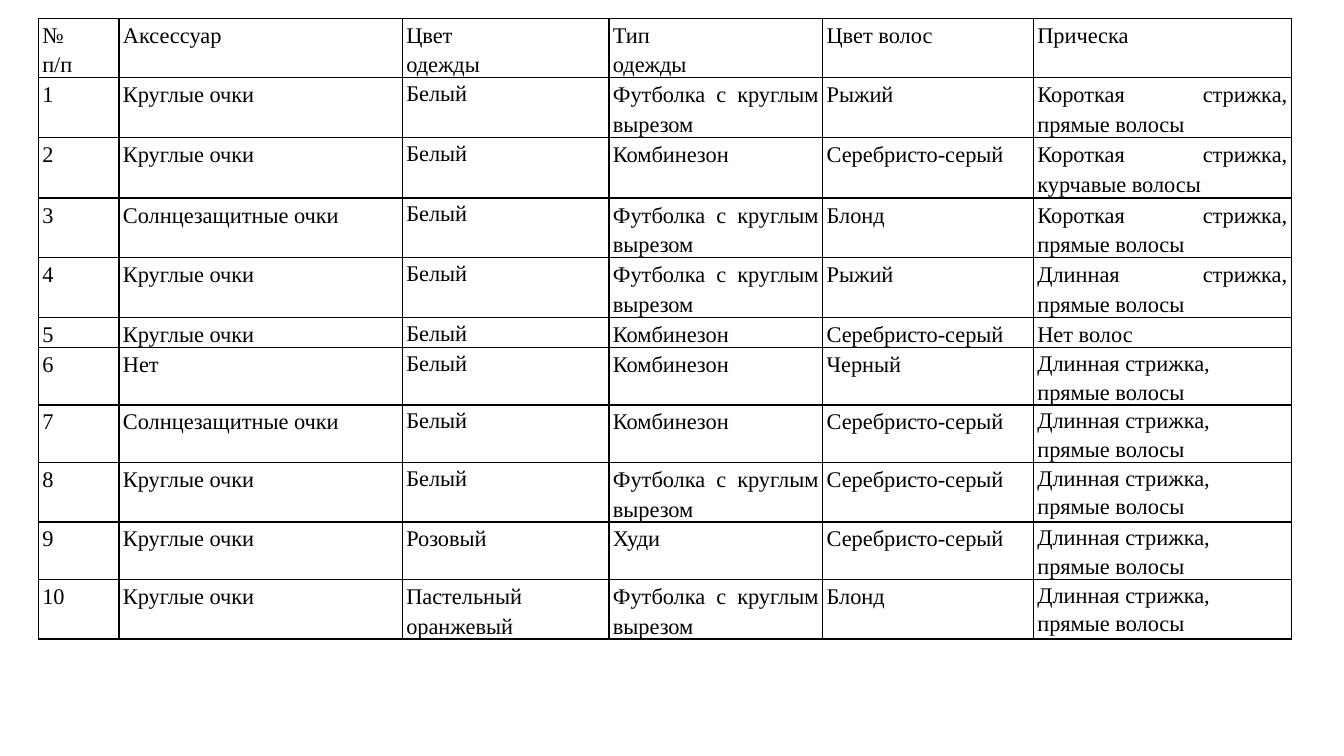
import copy

import pptx
import pptx.dml.color
import pptx.enum.text
import pptx.oxml
import pptx.oxml.ns
import pptx.util
from pptx.util import Inches

COLORS = {"ink": "000000"}
FONT = "Times New Roman"
COL_WIDTHS = [0.8, 2.81, 2.05, 2.12, 2.09, 2.56]
ROW_HEIGHTS = [0.3, 0.45, 0.6, 0.45, 0.45, 0.3, 0.43, 0.43, 0.45, 0.43, 0.45]

ROUND, SUN = "Круглые очки", "Солнцезащитные очки"
WHITE = "Белый"
TEE, OVERALLS = "Футболка с круглым вырезом", "Комбинезон"
SILVER = "Серебристо-серый"
SHORT = "Короткая стрижка, прямые волосы"
LONG = "Длинная стрижка, прямые волосы"
HEADER = ["№\nп/п", "Аксессуар", "Цвет \vодежды", "Тип \vодежды",
          "Цвет волос", "Прическа"]
LOOKS = [
    [ROUND, WHITE, TEE, "Рыжий", SHORT],
    [ROUND, WHITE, OVERALLS, SILVER, "Короткая стрижка, курчавые волосы"],
    [SUN, WHITE, TEE, "Блонд", SHORT],
    [ROUND, WHITE, TEE, "Рыжий", LONG],
    [ROUND, WHITE, OVERALLS, SILVER, "Нет волос"],
    ["Нет", WHITE, OVERALLS, "Черный", LONG],
    [SUN, WHITE, OVERALLS, SILVER, LONG],
    [ROUND, WHITE, TEE, SILVER, LONG],
    [ROUND, "Розовый", "Худи", SILVER, LONG],
    [ROUND, "Пастельный оранжевый", TEE, "Блонд", LONG],
]
FIRST_LEFT_HAIRCUT_ROW = 6


def set_borders(cell):
    tc_pr = cell._tc.get_or_add_tcPr()
    for side in ("lnL", "lnR", "lnT", "lnB"):
        tc_pr.append(pptx.oxml.parse_xml(
            f'<a:{side} {pptx.oxml.ns.nsdecls("a")} w="12700"><a:solidFill>'
            f'<a:srgbClr val="{COLORS["ink"]}"/></a:solidFill></a:{side}>'))


def format_run(r):
    r.font.name = FONT
    r.font.size = pptx.util.Pt(16)
    r.font.color.rgb = pptx.dml.color.RGBColor.from_string(COLORS["ink"])


def fill_cell(cell, text, justified):
    set_borders(cell)
    cell.fill.background()
    cell.margin_left = cell.margin_right = Inches(0.04)
    cell.margin_top = cell.margin_bottom = 0
    tf = cell.text_frame
    tf.text = text
    align = pptx.enum.text.PP_ALIGN
    for p in tf.paragraphs:
        p.alignment = align.JUSTIFY if justified else align.LEFT
        p.line_spacing = 1.2 if justified else 1.15
        for r in p.runs:
            format_run(r)
        # A line break needs the run's size, or its line grows taller
        for br in p._p.findall(pptx.oxml.ns.qn("a:br")):
            br.append(copy.deepcopy(p.runs[0]._r.rPr))


def add_looks_table(s):
    rows = [HEADER] + [[str(n), *look] for n, look in enumerate(LOOKS, 1)]
    frame = s.shapes.add_table(len(rows), len(HEADER), Inches(0.38),
                               Inches(0.18), Inches(12.44), Inches(6.64))
    table = frame.table
    table.first_row = table.horz_banding = False
    for column, width in zip(table.columns, COL_WIDTHS):
        column.width = Inches(width)
    for row, height in zip(table.rows, ROW_HEIGHTS):
        row.height = Inches(height)
    frame.height = Inches(6.64)
    for i, row in enumerate(rows):
        for j, text in enumerate(row):
            left = text == WHITE or (text == LONG and i >= FIRST_LEFT_HAIRCUT_ROW)
            fill_cell(table.cell(i, j), text, justified=not left)


def main():
    prs = pptx.Presentation()
    prs.slide_width, prs.slide_height = Inches(13.33), Inches(7.5)
    s = prs.slides.add_slide(prs.slide_layouts[6])
    add_looks_table(s)
    prs.save("out.pptx")


if __name__ == "__main__":
    main()
